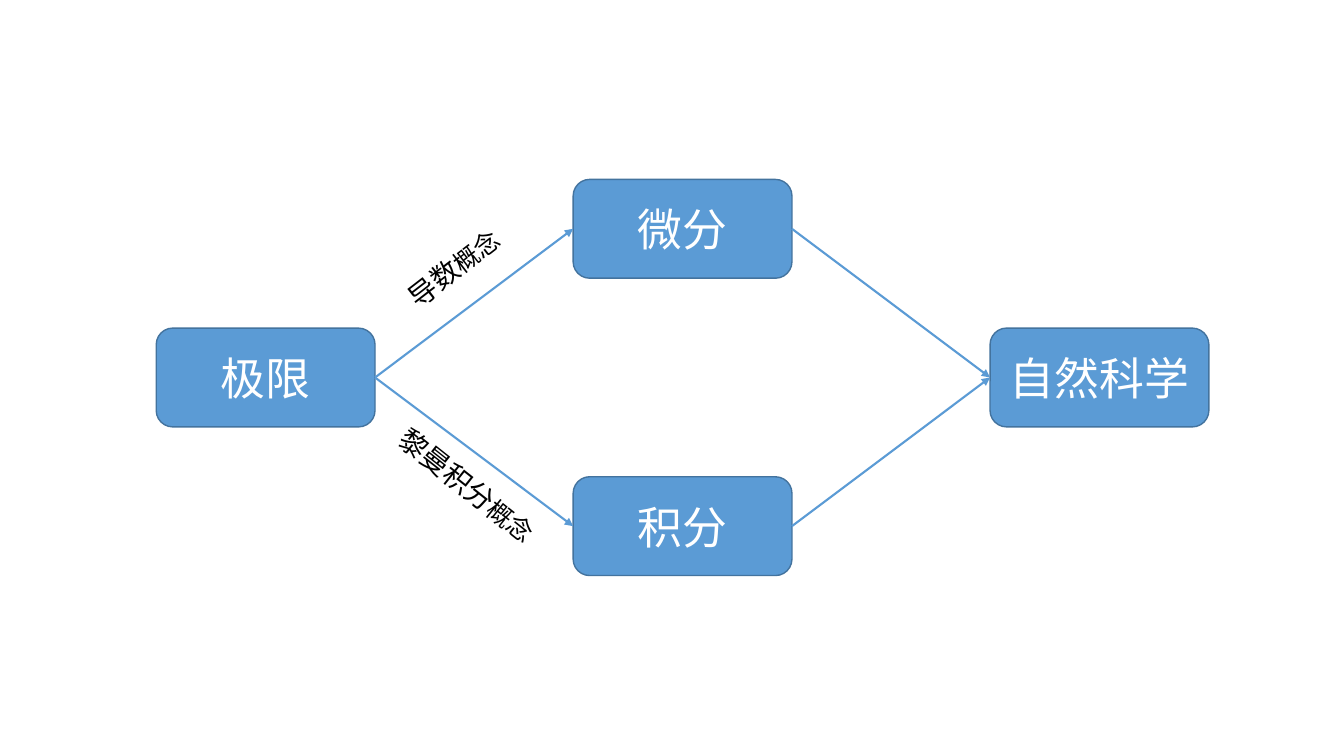
from collections import namedtuple

from lxml.etree import SubElement
from pptx import Presentation
from pptx.dml.color import RGBColor
from pptx.enum.shapes import MSO_CONNECTOR, MSO_SHAPE
from pptx.enum.text import MSO_ANCHOR, MSO_AUTO_SIZE, PP_ALIGN
from pptx.oxml.ns import qn
from pptx.util import Inches, Pt

Box = namedtuple("Box", "left top width height")

COLORS = {"fill": "5B9BD5", "outline": "43739E", "light": "FFFFFF", "dark": "000000"}
FONT = "Noto Sans CJK SC"
NODE_WIDTH, NODE_HEIGHT = 2.17, 0.98
NODES = {"极限": (0, 1), "微分": (1, 0), "积分": (1, 2), "自然科学": (2, 1)}
ARROWS = [("极限", "微分"), ("极限", "积分"), ("积分", "自然科学"), ("微分", "自然科学")]
LABELS = [
    ("导数", "概念", Box(2.27, 0.5, 1.77, 0.44), -37.7),
    ("黎曼积分", "概念", Box(2.16, 2.87, 1.98, 0.44), 38.4),
]


def color(name):
    """Return the named colour."""
    return RGBColor.from_string(COLORS[name])


def add_span(para, text, size, color_name):
    """Add one formatted run to a paragraph."""
    span = para.add_run()
    span.text = text
    span.font.size = Pt(size)
    span.font.name = FONT
    span.font.color.rgb = color(color_name)
    SubElement(span.font._element, qn("a:ea"), typeface=FONT)


def add_node(page, text, box):
    """Draw a rounded concept node."""
    node = page.shapes.add_shape(MSO_SHAPE.ROUNDED_RECTANGLE, *map(Inches, box))
    node.shadow.inherit = False
    node.fill.solid()
    node.fill.fore_color.rgb = color("fill")
    node.line.color.rgb = color("outline")
    node.line.width = Pt(1)
    node.text_frame.vertical_anchor = MSO_ANCHOR.MIDDLE
    para = node.text_frame.paragraphs[0]
    para.alignment = PP_ALIGN.CENTER
    add_span(para, text, 32, "light")
    return node


def add_arrow(page, start, end):
    """Join the right side of one node to the left side of another."""
    arrow = page.shapes.add_connector(MSO_CONNECTOR.STRAIGHT, 0, 0, 0, 0)
    arrow.begin_connect(start, 3)
    arrow.end_connect(end, 1)
    arrow.line.color.rgb = color("fill")
    arrow.line.width = Pt(1.5)
    SubElement(arrow.line._get_or_add_ln(), qn("a:tailEnd"), type="triangle")
    SubElement(arrow._element.spPr, qn("a:effectLst"))


def add_label(page, term, suffix, box, angle):
    """Write a tilted label beside an arrow."""
    label = page.shapes.add_textbox(*map(Inches, box))
    label.rotation = angle
    label.text_frame.word_wrap = True
    label.text_frame.auto_size = MSO_AUTO_SIZE.SHAPE_TO_FIT_TEXT
    para = label.text_frame.paragraphs[0]
    add_span(para, term, 20, "dark")
    add_span(para, suffix, 18, "dark")


def add_concept_map(page, box):
    """Lay out the nodes, arrows and labels inside the box."""
    column_step = (box.width - NODE_WIDTH) / 2
    row_step = (box.height - NODE_HEIGHT) / 2
    nodes = {}
    for text, (column, row) in NODES.items():
        left, top = box.left + column * column_step, box.top + row * row_step
        nodes[text] = add_node(page, text, Box(left, top, NODE_WIDTH, NODE_HEIGHT))
    for start, end in ARROWS:
        add_arrow(page, nodes[start], nodes[end])
    for term, suffix, area, angle in LABELS:
        place = area._replace(left=box.left + area.left, top=box.top + area.top)
        add_label(page, term, suffix, place, angle)


def main():
    """Build and save the deck."""
    deck = Presentation()
    deck.slide_width, deck.slide_height = Inches(13.33), Inches(7.5)
    page = deck.slides.add_slide(deck.slide_layouts[6])
    add_concept_map(page, Box(1.55, 1.78, 10.44, 3.93))
    deck.save("out.pptx")


if __name__ == "__main__":
    main()
